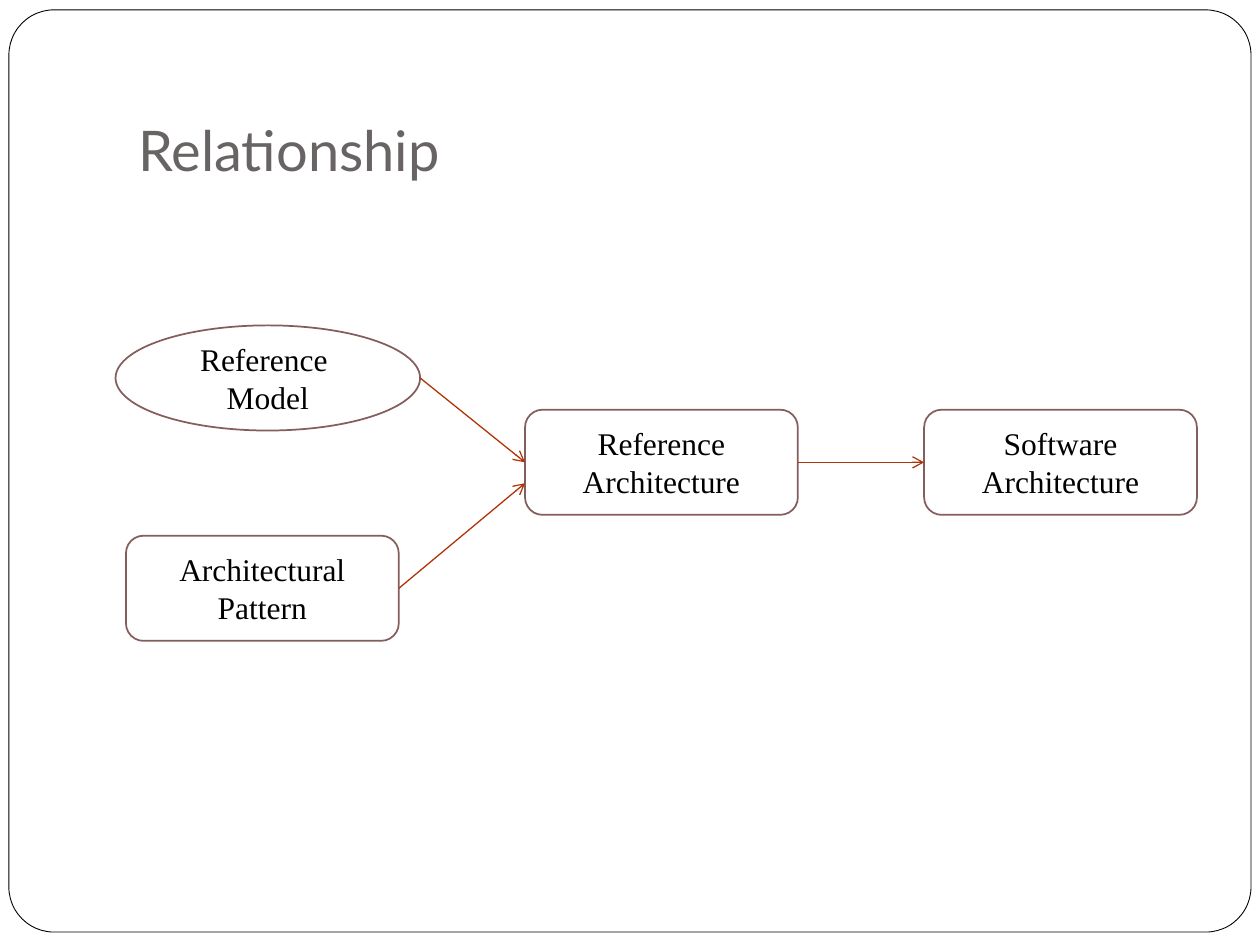
from dataclasses import dataclass

from lxml import etree
from pptx import Presentation
from pptx import util as u
from pptx.dml.color import RGBColor
from pptx.enum import shapes, text
from pptx.oxml import ns

Cm, Pt = u.Cm, u.Pt
KIND = shapes.MSO_SHAPE
ALIGN, ANCHOR = text.PP_ALIGN, text.MSO_ANCHOR


@dataclass(frozen=True)
class Theme:
    paper: str = "FFFFFF"
    ink: str = "000000"
    head: str = "696464"
    edge: str = "855D5D"
    arrow: str = "AF3408"
    sans: str = "Lato"
    serif: str = "Times New Roman"
    big: int = 32
    body: int = 18


THEME = Theme()


def rgb(code):
    return RGBColor.from_string(code)


def write(shape, words, font=THEME.serif, size=THEME.body, color=THEME.ink,
          align=ALIGN.CENTER, anchor=ANCHOR.MIDDLE, foot=0.13):
    """Fill a shape with one paragraph for each line of words."""
    frame = shape.text_frame
    frame.word_wrap = True
    frame.vertical_anchor = anchor
    frame.margin_left = frame.margin_right = Cm(0.25)
    frame.margin_top, frame.margin_bottom = Cm(0.13), Cm(foot)
    frame.text = words
    for para in frame.paragraphs:
        para.alignment = align
        para.font.name = font
        para.font.size = Pt(size)
        para.font.color.rgb = rgb(color)


def panel(slide, kind, box, color, width, round_by=None):
    """Add a white outlined shape."""
    shape = slide.shapes.add_shape(kind, *map(Cm, box))
    shape.shadow.inherit = False
    shape.fill.solid()
    shape.fill.fore_color.rgb = rgb(THEME.paper)
    shape.line.color.rgb = rgb(color)
    shape.line.width = Pt(width)
    if round_by is not None:
        shape.adjustments[0] = round_by
    return shape


def arrow(slide, start, end, source=None, target=None):
    """Draw an arrow, joined to the right of source and the left of target."""
    line = slide.shapes.add_connector(
        shapes.MSO_CONNECTOR.STRAIGHT, *map(Cm, start + end))
    if source is not None:
        line.begin_connect(source, 3)
    if target is not None:
        line.end_connect(target, 1)
    line.line.color.rgb = rgb(THEME.arrow)
    line.line.width = Pt(0.75)
    tip = etree.SubElement(line.line._get_or_add_ln(), ns.qn("a:tailEnd"))
    tip.set("type", "arrow")
    etree.SubElement(line._element.spPr, ns.qn("a:effectLst"))


def frame(slide, box):
    panel(slide, KIND.ROUNDED_RECTANGLE, box, THEME.ink, 0.5, 0.049)


def title(slide, box):
    label = slide.shapes.add_textbox(*map(Cm, box))
    write(label, "Relationship", font=THEME.sans, size=THEME.big,
          color=THEME.head, align=ALIGN.LEFT, anchor=ANCHOR.BOTTOM, foot=0.25)


def diagram(slide, box):
    left, top, width, _ = box
    wide, high, oval = 5.5, 2.12, 6.14
    inset = 0.21
    step = (width - inset - wide) / 2
    mid = high / 2
    row = top + 1.7

    def node(words, col, y):
        x = left + inset + col * step
        shape = panel(slide, KIND.ROUNDED_RECTANGLE, (x, y, wide, high),
                      THEME.edge, 1, 0.167)
        write(shape, words)
        return shape

    # Nodes
    model = panel(slide, KIND.OVAL, (left, top, oval, high), THEME.edge, 1)
    write(model, "Reference \nModel")
    low = top + 2 * high
    pattern = node("Architectural\nPattern", 0, low)
    middle = node("Reference\nArchitecture", 1, row)
    final = node("Software\nArchitecture", 2, row)

    # Arrows
    x = left + inset + step
    y = row + mid
    arrow(slide, (left + oval, top + mid), (x, y), target=middle)
    arrow(slide, (left + inset + wide, low + mid), (x, y + 0.42),
          source=pattern)
    arrow(slide, (x + wide, y), (x + step, y), source=middle, target=final)


def main():
    deck = Presentation()
    deck.slide_width, deck.slide_height = Cm(25.4), Cm(19.05)
    slide = deck.slides.add_slide(deck.slide_layouts[6])
    frame(slide, (0.18, 0.2, 25.04, 18.59))
    title(slide, (2.54, 0.76, 21.59, 3.18))
    diagram(slide, (2.33, 6.56, 21.8, 6.36))
    deck.save("out.pptx")


if __name__ == "__main__":
    main()
